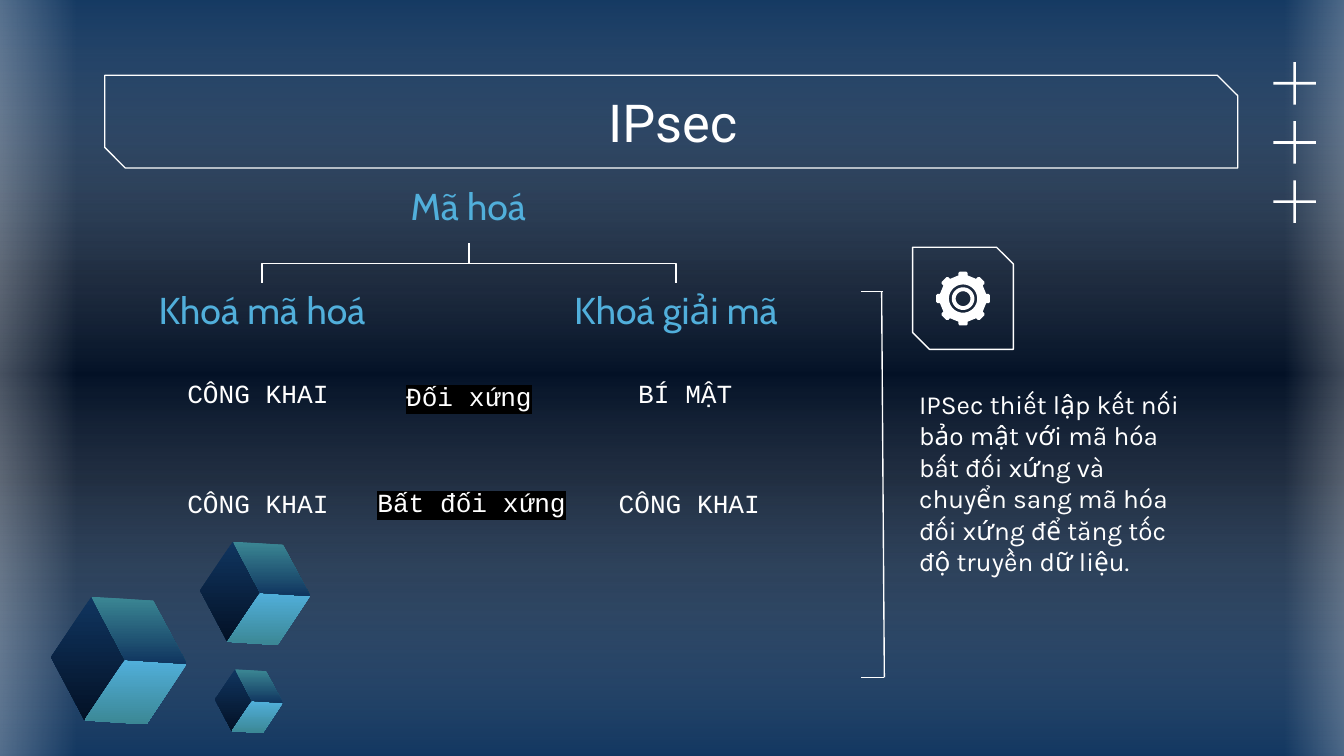
from math import cos, pi, sin

from lxml.etree import SubElement
from pptx import Presentation
from pptx.dml.color import RGBColor
from pptx.enum.shapes import MSO_CONNECTOR as CONN, MSO_SHAPE as SHAPE
from pptx.enum.text import MSO_ANCHOR as ANCHOR, PP_ALIGN as ALIGN
from pptx.oxml import parse_xml
from pptx.oxml.ns import nsdecls, qn
from pptx.util import Inches, Pt

WHITE = RGBColor(0xFF, 0xFF, 0xFF)
BLACK = RGBColor(0x00, 0x00, 0x00)
NAVY = RGBColor(0x10, 0x35, 0x5F)
MIDNIGHT = RGBColor(0x03, 0x11, 0x26)
SKY = RGBColor(0x51, 0xAF, 0xDB)
TEAL = RGBColor(0x3B, 0x87, 0x94)

COLS, ROWS = 100, 56.25
CELL = Inches(10) / COLS

FORMATS = {
    "title": {"name": "Roboto", "size": Pt(28), "color": WHITE},
    "heading": {"name": "Cabin", "size": Pt(20), "color": SKY},
    "body": {"name": "Karla", "size": Pt(14), "color": WHITE},
    "key": {"name": "Courier New", "size": Pt(14), "color": WHITE},
}


def cells(*values):
    """Turn grid columns or rows into EMU."""
    return [round(v * CELL) for v in values]


def circle(cx, cy, radius, steps=48):
    return [(cx + radius * cos(2 * pi * i / steps),
             cy + radius * sin(2 * pi * i / steps)) for i in range(steps)]


def gear_outline(cx, cy, teeth=8):
    tooth = [(-0.35, 1.72), (-0.35, 1.9), (-0.25, 2),
             (0.25, 2), (0.35, 1.9), (0.35, 1.72)]
    angles = [2 * pi * i / teeth for i in range(teeth)]
    return [(cx + t * cos(a) + r * sin(a), cy + t * sin(a) - r * cos(a))
            for a in angles for t, r in tooth]


class Deck:
    """Style and current slide; all lengths are grid cells."""

    def __init__(self):
        self.prs = Presentation()
        self.prs.slide_width, self.prs.slide_height = cells(COLS, ROWS)
        self.slide = self.prs.slides.add_slide(self.prs.slide_layouts[6])
        self.shapes = self.slide.shapes

    def gradient(self, fill, owner, stops, angle):
        """Fill with (position %, colour, opacity %) stops."""
        fill.solid()
        gs = "".join(
            f'<a:gs pos="{pos * 1000}"><a:srgbClr val="{color}">'
            f'<a:alpha val="{alpha * 1000}"/></a:srgbClr></a:gs>'
            for pos, color, alpha in stops)
        grad = parse_xml(
            f'<a:gradFill {nsdecls("a")} rotWithShape="1"><a:gsLst>{gs}</a:gsLst>'
            f'<a:lin ang="{angle * 60000}" scaled="0"/></a:gradFill>')
        solid = owner.xpath(".//a:solidFill")[0]
        solid.getparent().replace(solid, grad)

    def background(self, stops):
        self.gradient(self.slide.background.fill, self.slide.element, stops, 90)

    def paint(self, sp, fill, angle=90):
        """Fill with one colour or a list of gradient stops, without a line."""
        sp.shadow.inherit = False
        if isinstance(fill, list):
            self.gradient(sp.fill, sp.element, fill, angle)
        else:
            sp.fill.solid()
            sp.fill.fore_color.rgb = fill
        sp.line.fill.background()

    def rect(self, box, fill, rotation=0):
        sp = self.shapes.add_shape(SHAPE.RECTANGLE, *cells(*box))
        sp.rotation = rotation
        self.paint(sp, fill, 180)

    def frame(self, box, snip):
        sp = self.shapes.add_shape(SHAPE.SNIP_2_DIAG_RECTANGLE, *cells(*box))
        sp.shadow.inherit = False
        sp.adjustments[0], sp.adjustments[1] = 0, snip
        sp.fill.background()
        sp.line.color.rgb, sp.line.width = WHITE, Pt(0.75)

    def outline(self, contours, fill):
        """Closed shape; later contours cut holes."""
        first, *rest = [[cells(*pt) for pt in c] for c in contours]
        fb = self.shapes.build_freeform(*first[0])
        fb.add_line_segments(first[1:], close=True)
        for hole in rest:
            fb.move_to(*hole[0])
            fb.add_line_segments(hole[1:], close=True)
        self.paint(fb.convert_to_shape(), fill)

    def line(self, x0, y0, x1, y1, kind=CONN.STRAIGHT):
        cn = self.shapes.add_connector(kind, *cells(x0, y0, x1, y1))
        cn.line.color.rgb, cn.line.width = WHITE, Pt(0.75)
        SubElement(cn.element.spPr, qn("a:effectLst"))
        return cn

    def branch(self, x0, y0, x1, y1):
        """Elbow that leaves and arrives vertically."""
        cx, cy = (x0 + x1) / 2, (y0 + y1) / 2
        side = 1 if x1 < x0 else -1
        half_w, half_h = side * (y1 - y0) / 2, abs(x1 - x0) / 2
        cn = self.line(cx - half_w, cy - half_h, cx + half_w, cy + half_h, CONN.ELBOW)
        cn.element.spPr.xfrm.set("rot", str((90 if side == 1 else 270) * 60000))

    def text(self, box, words, style, anchor=ANCHOR.TOP, align=ALIGN.CENTER,
             inset=1, highlight=None):
        tf = self.shapes.add_textbox(*cells(*box)).text_frame
        side, edge = cells(inset, 1)
        layout = {"word_wrap": True, "vertical_anchor": anchor,
                  "margin_left": side, "margin_right": side,
                  "margin_top": edge, "margin_bottom": edge}
        for name, value in layout.items():
            setattr(tf, name, value)
        p = tf.paragraphs[0]
        p.alignment = align
        r = p.add_run()
        r.text = words
        for name, value in FORMATS[style].items():
            if name == "color":
                r.font.color.rgb = value
            else:
                setattr(r.font, name, value)
        if highlight is not None:
            r.font.element.find(qn("a:solidFill")).addnext(parse_xml(
                f'<a:highlight {nsdecls("a")}><a:srgbClr val="{highlight}"/></a:highlight>')
            ) if hasattr(r.font, "element") else r._r.rPr.find(qn("a:solidFill")).addnext(
                parse_xml(f'<a:highlight {nsdecls("a")}>'
                          f'<a:srgbClr val="{highlight}"/></a:highlight>'))

    def plus(self, cx, cy, length=3.16, thick=0.2):
        for w, h in ((length, thick), (thick, length)):
            self.rect((cx - w / 2, cy - h / 2, w, h), WHITE)

    def cube(self, x, y, scale):
        top, left, bottom, centre = (3, 0), (0, 4.5), (2.5, 9.2), (5.5, 4.7)
        back, right, front = (7.6, 0.3), (10.1, 5), (7.1, 9.5)
        faces = [((top, left, bottom, centre), NAVY, MIDNIGHT),
                 ((centre, right, front, bottom), SKY, TEAL),
                 ((top, back, right, centre), TEAL, NAVY)]
        for corners, start, end in faces:
            face = [(x + scale * px, y + scale * py) for px, py in corners]
            self.outline([face], [(0, start, 100), (100, end, 100)])


def main():
    deck = Deck()
    deck.background([(0, NAVY, 100), (37, MIDNIGHT, 100),
                     (63, MIDNIGHT, 100), (100, NAVY, 100)])
    deck.rect((22, -23.3, 58.1, 102.1),
              [(0, NAVY, 59), (50, WHITE, 0), (100, NAVY, 59)], 270)
    glow = [(0, WHITE, 47), (100, WHITE, 0)]
    deck.rect((-4.1, -0.9, 9.8, 58), glow, 180)
    deck.rect((95.6, -1.3, 8.5, 58), glow)

    deck.frame((7.8, 5.6, 84.3, 6.9), 0.221)
    deck.text((7.9, 5.9, 84.3, 6.3), "IPsec", "title", ANCHOR.MIDDLE)

    for x, y, w, words in ((15.8, 13.4, 38.1, "Mã hoá"),
                           (7.8, 21.1, 23.4, "Khoá mã hoá"),
                           (35.1, 21.1, 30.4, "Khoá giải mã")):
        deck.text((x, y, w, 4.6), words, "heading", ANCHOR.BOTTOM)
    for x in (19.5, 50.3):
        deck.branch(34.9, 18.1, x, 21.1)

    for x, y, words, highlight in ((6.2, 27.1, "CÔNG KHAI", None),
                                   (21.9, 27.3, "Đối xứng", BLACK),
                                   (38, 27.1, "BÍ MẬT", None),
                                   (6.2, 35.3, "CÔNG KHAI", None),
                                   (22.1, 35.2, "Bất đối xứng", BLACK),
                                   (38.3, 35.3, "CÔNG KHAI", None)):
        deck.text((x, y, 26, 6.3), words, "key", inset=2, highlight=highlight)

    deck.line(65.6, 21.7, 65.8, 50.4)
    deck.line(64.1, 21.7, 65.7, 21.7)
    deck.line(64.1, 50.4, 65.8, 50.4)

    deck.frame((67.9, 18.4, 7.5, 7.6), 0.167)
    gear = (71.66, 22.22)
    deck.outline([gear_outline(*gear), circle(*gear, 1.05)], WHITE)
    deck.outline([circle(*gear, 0.84), circle(*gear, 0.55)], WHITE)
    deck.text((67.4, 27.9, 22.7, 19.8),
              "IPSec thiết lập kết nối bảo mật với mã hóa bất đối xứng và chuyển "
              "sang mã hóa đối xứng để tăng tốc độ truyền dữ liệu.",
              "body", align=ALIGN.LEFT)

    for row in range(3):
        deck.plus(96.33, 6.2 + 4.4 * row)
    for x, y, scale in ((3.8, 44.4, 1), (16, 49.8, 0.5), (14.9, 40.3, 0.81)):
        deck.cube(x, y, scale)

    deck.prs.save("out.pptx")


if __name__ == "__main__":
    main()
